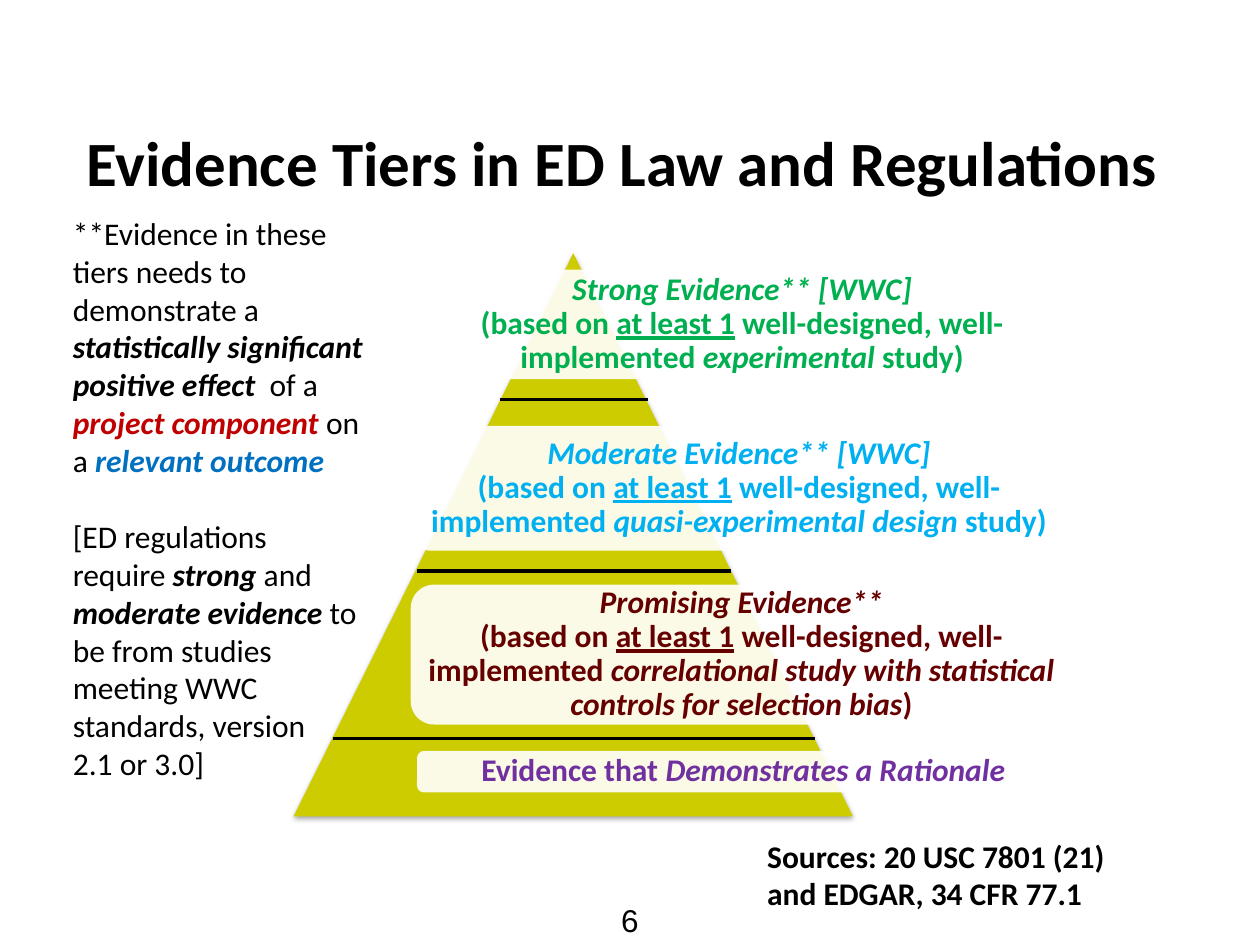
from dataclasses import dataclass

from lxml import etree
from pptx import Presentation
from pptx import util as u
from pptx.dml.color import RGBColor
from pptx.enum import shapes, text
from pptx.oxml import ns

SCALE = 9144


@dataclass(frozen=True)
class Theme:
    ink: str = "000000"
    pyramid: str = "CCCC00"
    card: str = "FFFFFF"
    strong: str = "00B050"
    moderate: str = "00B0F0"
    promising: str = "660000"
    rationale: str = "7030A0"
    component: str = "C00000"
    outcome: str = "0070C0"
    heading: str = "Calibri"
    number: str = "Arial"
    title_size: int = 36
    body_size: int = 18
    rule_width: int = 2


THEME = Theme()


def px(length):
    return u.Emu(length * SCALE)


def box(*lengths):
    return [px(length) for length in lengths]


def add_xml(parent, tag, **attributes):
    return etree.SubElement(parent, ns.qn(tag), attributes)


def fill_solid(shape, color, opacity=100):
    shape.shadow.inherit = False
    shape.line.fill.background()
    shape.fill.solid()
    shape.fill.fore_color.rgb = RGBColor.from_string(color)
    if opacity < 100:
        swatch = shape._element.spPr.find(".//" + ns.qn("a:srgbClr"))
        add_xml(swatch, "a:alpha", val=str(opacity * 1000))


def write_paragraphs(frame, paragraphs, color=THEME.ink, size=THEME.body_size,
                     font=THEME.heading, align=text.PP_ALIGN.LEFT, spacing=None):
    for index, runs in enumerate(paragraphs):
        paragraph = frame.paragraphs[0] if index == 0 else frame.add_paragraph()
        paragraph.alignment = align
        paragraph.line_spacing = spacing
        for words, style, *accent in runs:
            run = paragraph.add_run()
            run.text = words
            run.font.name = font
            run.font.size = u.Pt(size)
            run.font.bold = "b" in style
            run.font.italic = "i" in style
            run.font.underline = "u" in style
            run.font.color.rgb = RGBColor.from_string(accent[0] if accent else color)


def add_text(slide, place, paragraphs, wrap=True, **options):
    frame = slide.shapes.add_textbox(*box(*place)).text_frame
    frame.word_wrap = wrap
    write_paragraphs(frame, paragraphs, **options)
    return frame


def add_title(slide, words):
    frame = add_text(slide, (0, 113, 987, 73), [[(words, "b")]],
                     size=THEME.title_size, align=text.PP_ALIGN.CENTER)
    frame.vertical_anchor = text.MSO_ANCHOR.MIDDLE
    frame.margin_bottom = px(48)


def add_pyramid(slide):
    pyramid = slide.shapes.add_shape(
        shapes.MSO_SHAPE.ISOSCELES_TRIANGLE, *box(233, 201, 444, 447))
    fill_solid(pyramid, THEME.pyramid)
    effects = pyramid._element.spPr.find(ns.qn("a:effectLst"))
    shadow = add_xml(effects, "a:outerShdw", blurRad=str(u.Pt(3.1)),
                     dist=str(u.Pt(1.8)), dir="5400000", rotWithShape="0")
    shade = add_xml(shadow, "a:srgbClr", val=THEME.ink)
    add_xml(shade, "a:alpha", val="35000")


def add_tier(slide, place, color, paragraphs, inset=7):
    card = slide.shapes.add_shape(shapes.MSO_SHAPE.ROUNDED_RECTANGLE, *box(*place))
    fill_solid(card, THEME.card, opacity=90)
    frame = card.text_frame
    frame.word_wrap = True
    frame.vertical_anchor = text.MSO_ANCHOR.MIDDLE
    frame.margin_left = frame.margin_right = px(inset)
    frame.margin_top = frame.margin_bottom = px(inset)
    write_paragraphs(frame, paragraphs, color=color,
                     align=text.PP_ALIGN.CENTER, spacing=0.9)


def study_tier(name, design, ending):
    return [
        [(name, "bi")],
        [("(based on ", "b"), ("at least 1", "bu"),
         (" well-designed, well-implemented ", "b"), (design, "bi"), (ending, "b")],
    ]


def add_rule(slide, left, right, y):
    rule = slide.shapes.add_connector(
        shapes.MSO_CONNECTOR.STRAIGHT, *box(left, y, right, y))
    rule.line.color.rgb = RGBColor.from_string(THEME.ink)
    rule.line.width = u.Pt(THEME.rule_width)
    add_xml(rule._element.spPr, "a:effectLst")


def add_requirements(slide):
    frame = add_text(slide, (48, 165, 253, 464), [
        [("**Evidence in these tiers needs to demonstrate a ", ""),
         ("statistically significant positive effect  ", "bi"),
         ("of a ", ""),
         ("project component ", "bi", THEME.component),
         ("on a ", ""),
         ("relevant outcome", "bi", THEME.outcome)],
        [("[ED regulations require ", ""), ("strong", "bi"), (" and ", ""),
         ("moderate evidence ", "bi"),
         ("to be from studies meeting WWC standards, version", "")],
        [("2.1 or 3.0]", "")],
    ])
    frame.paragraphs[1].space_before = u.Pt(22)


def main():
    deck = Presentation()
    deck.slide_width, deck.slide_height = box(1000, 750)
    slide = deck.slides.add_slide(deck.slide_layouts[6])

    add_title(slide, "Evidence Tiers in ED Law and Regulations")
    add_pyramid(slide)
    add_tier(slide, (329, 214, 520, 87), THEME.strong,
             study_tier("Strong Evidence** [WWC]", "experimental ", "study)"))
    add_tier(slide, (324, 338, 525, 99), THEME.moderate,
             study_tier("Moderate Evidence** [WWC]",
                        "quasi-experimental design", " study)"))
    add_tier(slide, (326, 464, 525, 111), THEME.promising,
             study_tier("Promising Evidence**",
                        "correlational study with statistical controls "
                        "for selection bias", ")"))
    add_tier(slide, (331, 596, 518, 33), THEME.rationale,
             [[("Evidence that ", "b"), ("Demonstrates a Rationale", "bi")]], inset=6)
    for left, right, y in ((397, 514, 317), (331, 580, 453), (264, 647, 586)):
        add_rule(slide, left, right, y)
    add_requirements(slide)
    add_text(slide, (599, 659, 291, 71),
             [[("Sources: 20 USC 7801 (21)", "b")],
              [("and EDGAR, 34 CFR 77.1", "b")]], wrap=False)
    add_text(slide, (476, 710, 48, 40), [[("6", "")]],
             font=THEME.number, align=text.PP_ALIGN.CENTER)

    deck.save("out.pptx")


if __name__ == "__main__":
    main()
